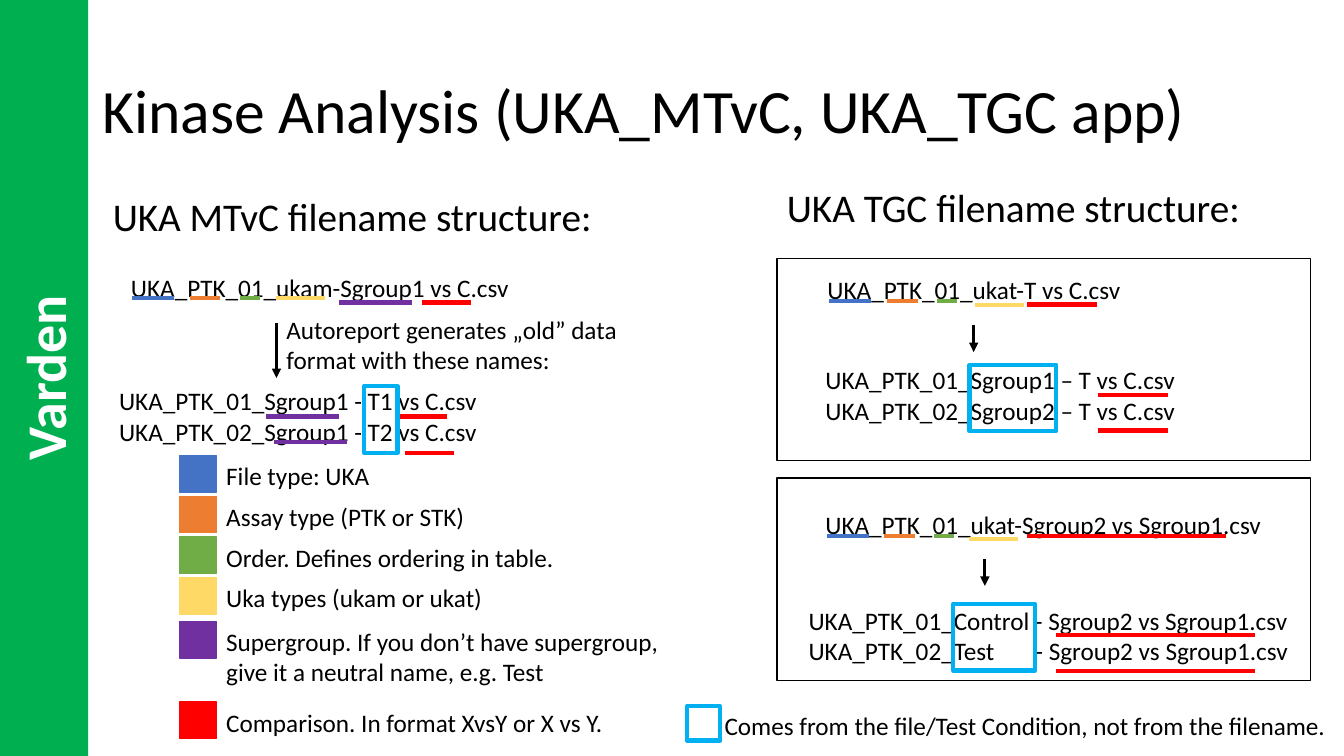
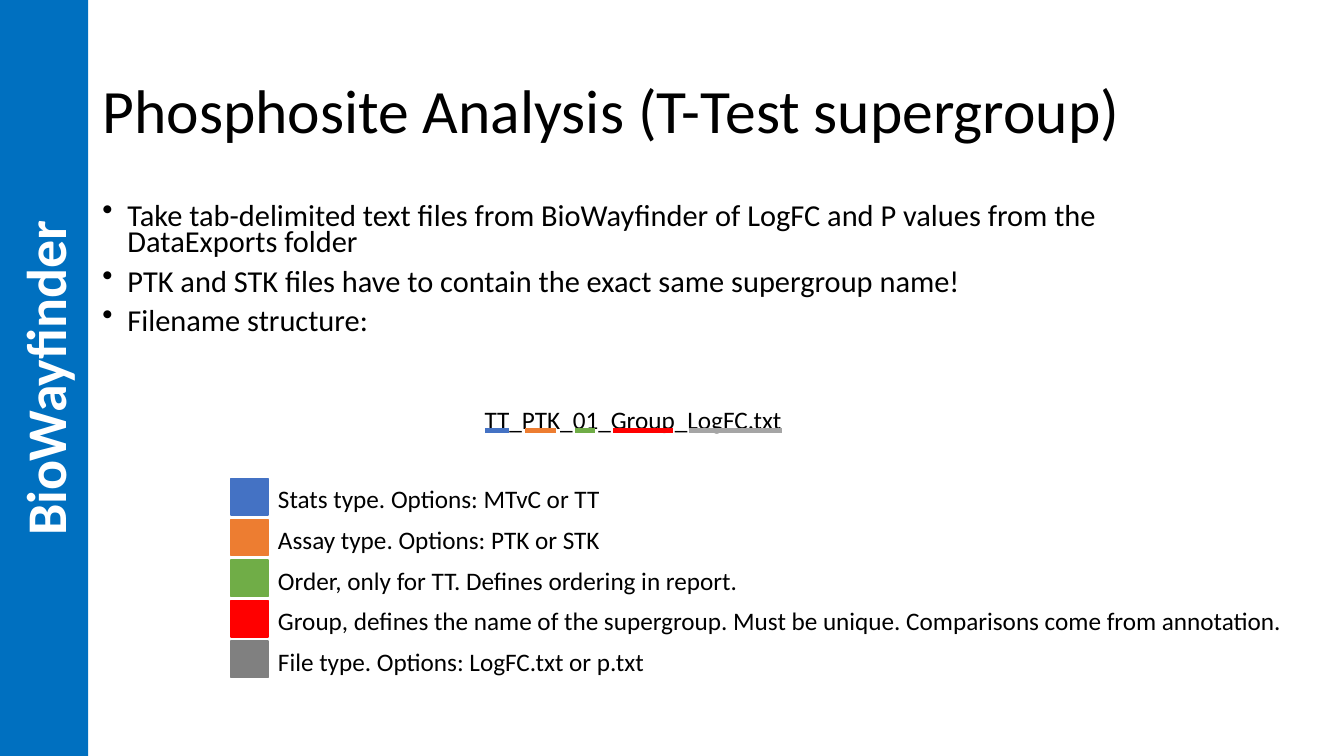
from lxml import etree
from pptx import Presentation
from pptx.dml.color import RGBColor
from pptx.enum import shapes, text
from pptx.oxml import ns
from pptx.util import Pt

COLOURS = {
    "black": "000000", "white": "FFFFFF", "blue": "4472C4",
    "orange": "ED7D31", "green": "70AD47", "yellow": "FFD966",
    "purple": "7030A0", "red": "FF0000", "cyan": "00B0F0",
    "silver": "A5A5A5", "grey": "808080",
    "tool_green": "00B050", "tool_blue": "0070C0",
}
PREFIX_MARKS = (("blue", 0, 30), ("orange", 41, 22), ("green", 77, 14))
KEY_STEP = 29


def colour_of(name):
    return RGBColor.from_string(COLOURS[name])


def add_xml(parent, tag, **attributes):
    return etree.SubElement(parent, ns.qn(tag), attributes)


class Slides:
    font = "Calibri"

    def __init__(self):
        self.deck = Presentation()
        self.deck.slide_width, self.deck.slide_height = Pt(960), Pt(540)
        self.page = None

    def start(self, title, tool, band_colour):
        self.page = self.deck.slides.add_slide(self.deck.slide_layouts[5])
        box = self.page.shapes.title
        box.left, box.top, box.width, box.height = Pt(66), Pt(29), Pt(828), Pt(104)
        self.set_text(box.text_frame, [title], 44, spacing=0.9)
        box.text_frame.vertical_anchor = text.MSO_ANCHOR.MIDDLE
        self.band(tool, band_colour)

    def set_text(self, frame, lines, size, colour="black", bold=False,
                 align=text.PP_ALIGN.LEFT, spacing=None, before=0):
        frame.word_wrap = True
        frame.auto_size = text.MSO_AUTO_SIZE.NONE
        for index, line in enumerate(lines):
            para = frame.add_paragraph() if index else frame.paragraphs[0]
            para.text = line
            para.alignment = align
            para.line_spacing = spacing
            para.space_before = Pt(before)
            para.font.name, para.font.size, para.font.bold = self.font, Pt(size), bold
            para.font.color.rgb = colour_of(colour)

    def label(self, lines, left, top, width, size=18, **style):
        height = 14.5 + 22 * len(lines)
        box = self.page.shapes.add_textbox(Pt(left), Pt(top), Pt(width), Pt(height))
        self.set_text(box.text_frame, lines, size, **style)
        return box

    def heading(self, line, left, top):
        self.label([line], left, top, 368, 28, spacing=0.9, before=10)

    def bullets(self, lines, left, top, width):
        box = self.label(lines, left, top, width, 21.7, spacing=0.7, before=10)
        for para in box.text_frame.paragraphs:
            props = para._p.get_or_add_pPr()
            props.set("marL", str(Pt(18)))
            props.set("indent", str(Pt(-18)))
            bullet = add_xml(props, "a:buChar", char="•")
            props.find(ns.qn("a:defRPr")).addprevious(bullet)

    def set_tab(self, para, position):
        props = para._p.get_or_add_pPr()
        stops = add_xml(props, "a:tabLst")
        add_xml(stops, "a:tab", pos=str(Pt(position)), algn="l")
        props.find(ns.qn("a:defRPr")).addprevious(stops)

    def rectangle(self, left, top, width, height, fill=None, line=None, weight=1):
        box = self.page.shapes.add_shape(
            shapes.MSO_SHAPE.RECTANGLE, Pt(left), Pt(top), Pt(width), Pt(height))
        box.shadow.inherit = False
        if fill:
            box.fill.solid()
            box.fill.fore_color.rgb = colour_of(fill)
        else:
            box.fill.background()
        if line:
            box.line.color.rgb = colour_of(line)
            box.line.width = Pt(weight)
        else:
            box.line.fill.background()
        return box

    def band(self, tool, colour):
        box = self.rectangle(0, 0, 63, 540, fill=colour)
        self.set_text(box.text_frame, [tool], 40, "white", True, text.PP_ALIGN.CENTER)
        box.text_frame._txBody.bodyPr.set("vert", "vert270")

    def highlight(self, left, top, width, height=47.5):
        self.rectangle(left, top, width, height, line="cyan", weight=3)

    def line(self, start, end, colour, weight):
        points = [Pt(value) for value in (*start, *end)]
        line = self.page.shapes.add_connector(shapes.MSO_CONNECTOR.STRAIGHT, *points)
        line.line.color.rgb = colour_of(colour)
        line.line.width = Pt(weight)
        add_xml(line._element.spPr, "a:effectLst")
        return line

    def mark(self, colour, left, top, width):
        self.line((left, top), (left + width, top), colour, 3)

    def prefix_marks(self, left, top):
        for colour, offset, width in PREFIX_MARKS:
            self.mark(colour, left + offset, top, width)

    def arrow(self, left, top, bottom):
        arrow = self.line((left, top), (left, bottom), "black", 2.25)
        add_xml(arrow.line._get_or_add_ln(), "a:tailEnd", type="triangle")

    def key(self, colour, meaning, left, top, width):
        self.rectangle(left, top, 26.5, 26, fill=colour, line=colour)
        self.label([meaning], left + 26.5, top, width)


def kinase_slide(slides):
    slides.start("Kinase Analysis (UKA_MTvC, UKA_TGC app)", "Varden", "tool_green")
    slides.heading("UKA MTvC filename structure:", 73.5, 137.5)
    slides.heading("UKA TGC filename structure:", 555, 131)
    for top in (184.5, 341.5):
        slides.rectangle(555, top, 381, 144.5, line="black")

    slides.label(["UKA_PTK_01_ukam-Sgroup1 vs C.csv"], 86.5, 191, 340)
    slides.label(["Autoreport generates „old” data format with these names:"],
                 197.5, 221, 290)
    slides.label(["UKA_PTK_01_Sgroup1 - T1 vs C.csv",
                  "UKA_PTK_02_Sgroup1 - T2 vs C.csv"], 78, 272, 340)
    slides.label(["UKA_PTK_01_ukat-T vs C.csv"], 584, 192.5, 340)
    slides.label(["UKA_PTK_01_Sgroup1 – T vs C.csv",
                  "UKA_PTK_02_Sgroup2 – T vs C.csv"], 582.5, 257, 340)
    slides.label(["UKA_PTK_01_ukat-Sgroup2 vs Sgroup1.csv"], 582.5, 360.5, 340)
    names = slides.label(["UKA_PTK_01_Control - Sgroup2 vs Sgroup1.csv",
                          "UKA_PTK_02_Test\t- Sgroup2 vs Sgroup1.csv"],
                         570.5, 428.5, 368)
    slides.set_tab(names.text_frame.paragraphs[1], 162)

    for left, top in ((94.5, 213), (592.5, 215), (590.5, 383)):
        slides.prefix_marks(left, top)
    for left, top in ((197.5, 213), (696.5, 218), (692, 385)):
        slides.mark("yellow", left, top, 35)
    for left, top in ((242.5, 216), (190, 297.5), (196, 316)):
        slides.mark("purple", left, top, 52)
    for left, top, width in (
            (301.5, 216, 35), (284.5, 297.5, 35), (289.5, 323.5, 35),
            (733.5, 217.5, 50), (784, 282, 50), (784, 307.5, 50),
            (733.5, 383, 142), (754.5, 453.5, 142), (754.5, 479.5, 142)):
        slides.mark("red", left, top, width)

    for left, top, bottom in ((197.5, 230.5, 270), (695.5, 232, 251.5),
                              (703.5, 399.5, 418.5)):
        slides.arrow(left, top, bottom)
    for left, top, width in ((260, 276, 24), (692.5, 260.5, 62), (681, 431.5, 58.5)):
        slides.highlight(left, top, width)

    for top, colour, meaning in (
            (325.5, "blue", "File type: UKA"),
            (354.5, "orange", "Assay type (PTK or STK)"),
            (383.5, "green", "Order. Defines ordering in table."),
            (412.5, "yellow", "Uka types (ukam or ukat)"),
            (444, "purple", "Supergroup. If you don’t have supergroup, "
                            "give it a neutral name, e.g. Test"),
            (501.5, "red", "Comparison. In format XvsY or X vs Y.")):
        slides.key(colour, meaning, 128, top, 325)
    slides.highlight(490.5, 504.5, 24, 24.5)
    slides.label(["Comes from the file/Test Condition, not from the filename."],
                 510.5, 503.5, 449)


def phosphosite_slide(slides):
    slides.start("Phosphosite Analysis (T-Test supergroup)", "BioWayfinder", "tool_blue")
    slides.bullets([
        "Take tab-delimited text files from BioWayfinder of LogFC and P values "
        "from the DataExports folder",
        "PTK and STK files have to contain the exact same supergroup name!",
        "Filename structure:"], 66, 144, 828)
    slides.label(["TT_PTK_01_Group_LogFC.txt"], 339, 285, 240)
    for colour, left, width in (("blue", 346.5, 17), ("orange", 375, 22),
                                ("green", 411, 14), ("red", 438, 43),
                                ("silver", 492.5, 66)):
        slides.mark(colour, left, 307.5, width)
    for index, (colour, meaning) in enumerate((
            ("blue", "Stats type. Options: MTvC or TT"),
            ("orange", "Assay type. Options: PTK or STK"),
            ("green", "Order, only for TT. Defines ordering in report."),
            ("red", "Group, defines the name of the supergroup. Must be unique. "
                    "Comparisons come from annotation."),
            ("grey", "File type. Options: LogFC.txt or p.txt"))):
        slides.key(colour, meaning, 165, 342 + KEY_STEP * index, 740)


def main():
    slides = Slides()
    kinase_slide(slides)
    phosphosite_slide(slides)
    slides.deck.save("out.pptx")


if __name__ == "__main__":
    main()
